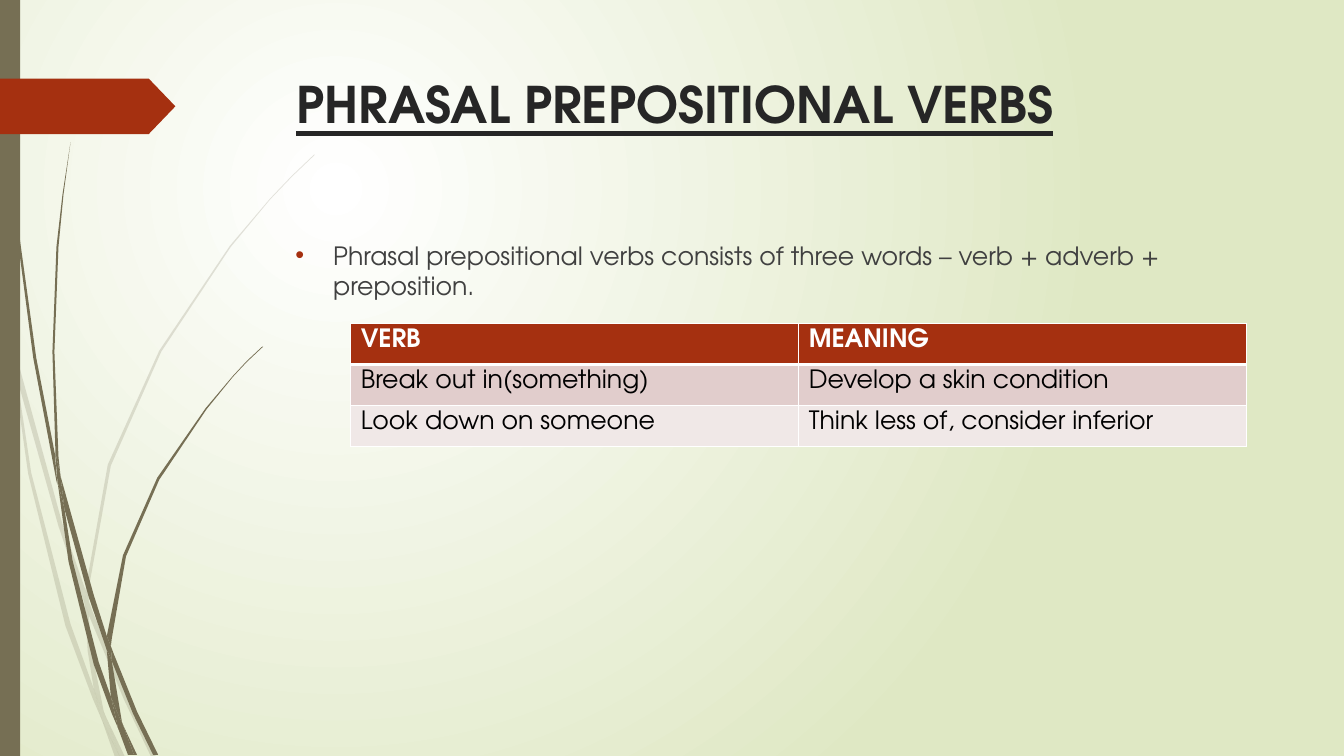
import pptx
import pptx.dml.color
import pptx.enum.shapes
import pptx.enum.text
import pptx.oxml
import pptx.oxml.ns
import pptx.util

CELL = 0.1  # inches per grid cell
COLUMNS, ROWS = 133.33, 75
FONT = "TeX Gyre Adventor"
COLORS = {
    "white": "FFFFFF", "lime": "DFE8C4", "olive": "766F54", "rust": "A53010",
    "heading": "262626", "body": "404040", "black": "000000",
    "row dark": "E1CDCC", "row light": "F0E8E7",
}
SHAPES = pptx.enum.shapes.MSO_SHAPE

# Outlines of the grass pieces, in grid cells.
PALE_GRASS = [
    [(1.1, 35), (0.9, 32.2), (0, 28.2), (0, 29.9), (1, 34.4)],
    [(5.8, 52.2), (8.4, 59.9), (8.5, 58.6), (6.2, 52), (1.4, 34.5), (1.7, 37.6)],
    [(9.2, 60.7), (8.8, 59.6), (8.8, 61), (12.3, 69.4), (15, 75.1), (15.5, 75.1),
     (12.7, 69.2)],
    [(11.9, 75.1), (12.4, 75.1), (10.5, 71.1)],
    [(9.3, 68.3), (7, 61.9), (3.1, 46.9), (1.7, 37.6), (1.1, 35), (2.8, 47),
     (6.5, 62.1), (9.2, 69.3), (10.1, 71.4), (9.9, 70.7)],
    [(8.4, 59.9), (8.7, 64.6), (9.3, 68.3), (9.6, 69.2), (10.5, 71.1), (10.3, 70.6),
     (9.1, 64.6), (8.8, 61), (8.8, 60.8)],
    [(8.8, 58.4), (11, 46.2), (16, 34.9), (22.9, 24.5), (26.8, 19.8), (29, 17.5),
     (31.2, 15.4), (31.2, 15.3), (28.9, 17.5), (26.8, 19.7), (22.8, 24.4),
     (15.8, 34.8), (10.7, 46.1), (8.5, 58.4), (8.5, 58.6), (8.8, 59.6)],
    [(10.1, 71.4), (11.4, 75.1), (11.9, 75.1)],
    [(8.8, 60.8), (8.8, 61), (8.8, 59.6), (8.5, 58.6), (8.4, 59.9)],
    [(9.6, 69.2), (9.3, 68.3), (9.9, 70.7), (10.1, 71.4), (11.9, 75.1), (10.5, 71.1)],
]
DARK_GRASS = [
    [(0.7, 11), (1.7, 23.3), (3.3, 35.5), (5.6, 47.7), (5.7, 48.1), (5.5, 45.7),
     (5.5, 45.3), (3.6, 35.5), (1.9, 23.2), (0.8, 10.9), (0.5, 4.8), (0.4, 0),
     (0.3, 0), (0.4, 4.8)],
    [(8.8, 59.2), (10.6, 64.5), (10.6, 63.3), (10.6, 63.1), (9.3, 59), (6, 47.2),
     (6.4, 50.5)],
    [(11.3, 64.9), (11, 64.1), (11.1, 65.6), (13.2, 70.8), (15.2, 74.9),
     (15.7, 74.9), (13.6, 70.6)],
    [(11, 69.1), (9.8, 65.7), (7.2, 55.6), (6.4, 50.5), (5.7, 47.7), (6.8, 55.7),
     (9.3, 65.9), (11.1, 70.8), (11.7, 72.2), (11.6, 71.7)],
    [(6, 47.2), (5.8, 45.3), (5.4, 34.9), (5.8, 24.5), (6.3, 19.3), (7, 14.1),
     (6.2, 19.3), (5.6, 24.5), (5.2, 34.9), (5.5, 44.9)],
    [(13.3, 74.9), (13.6, 74.9), (12.2, 71.9)],
    [(5.7, 47.7), (6.4, 50.5), (6, 47.2), (5.5, 44.9), (5.5, 45.3)],
    [(11.1, 63.3), (12.5, 55.2), (15.8, 47.6), (20.5, 40.6), (23.1, 37.4),
     (24.5, 35.9), (26.1, 34.4), (26, 34.4), (24.5, 35.8), (23.1, 37.3),
     (20.4, 40.5), (15.6, 47.4), (12.2, 55.1), (10.6, 63.1), (11, 64.1)],
    [(11.7, 72.2), (12.7, 74.9), (13.1, 74.9)],
    [(10.6, 64.5), (11, 69.1), (11.6, 70.6), (12.2, 71.9), (12.1, 71.6),
     (11.1, 65.6), (10.9, 65.1)],
    [(10.6, 64.5), (10.9, 65.1), (11.1, 65.6), (11, 64.1), (10.6, 63.1), (10.6, 63.3)],
    [(11.6, 70.6), (11, 69.1), (11.6, 71.7), (11.7, 72.2), (13, 74.9), (13.3, 74.9),
     (12.2, 71.9)],
]
VERB_ROWS = [
    ("VERB", "MEANING"),
    ("Break out in(something)", "Develop a skin condition"),
    ("Look down on someone", "Think less of, consider inferior"),
]


def cells(count):
    return pptx.util.Inches(count * CELL)


def color(name):
    return pptx.dml.color.RGBColor.from_string(COLORS[name])


def element(xml):
    """Parse one drawing element, adding the namespace to its tag."""
    tag, rest = xml[1:].split(" ", 1)
    return pptx.oxml.parse_xml(f"<{tag} {pptx.oxml.ns.nsdecls('a')} {rest}")


class VerbSlide:
    def __init__(self, deck):
        self.slide = deck.slides.add_slide(deck.slide_layouts[1])
        self.shapes = self.slide.shapes

    def background(self, center, edge):
        fill = self.slide.background.fill
        fill.gradient()
        for stop, name, position in zip(fill.gradient_stops, (center, edge), (0, 1)):
            stop.color.rgb = color(name)
            stop.position = position
        linear = self.slide.element.xpath(".//a:gradFill/a:lin")[0]
        linear.getparent().replace(linear, element(
            '<a:path path="circle"><a:fillToRect l="50000" t="50000" '
            'r="100000" b="100000"/></a:path>'))

    def paint(self, shape, name, alpha=None):
        shape.shadow.inherit = False
        shape.fill.solid()
        shape.fill.fore_color.rgb = color(name)
        shape.line.fill.background()
        if alpha:
            shape.element.spPr.xpath("./a:solidFill/a:srgbClr")[0].append(
                element(f'<a:alpha val="{alpha * 1000}"/>'))

    def grass(self, pieces, alpha=None):
        for piece in pieces:
            outline = [(cells(x), cells(y)) for x, y in piece]
            builder = self.shapes.build_freeform(*outline[0])
            builder.add_line_segments(outline[1:], close=True)
            self.paint(builder.convert_to_shape(), "olive", alpha)

    def block(self, kind, box, name):
        shape = self.shapes.add_shape(kind, *map(cells, box))
        self.paint(shape, name)
        return shape

    def style(self, paragraph, size, name, bold=False, underline=False):
        font = paragraph.font
        font.name, font.size = FONT, pptx.util.Pt(size)
        font.bold, font.underline = bold, underline
        font.color.rgb = color(name)

    def fill_placeholder(self, index, box, text):
        holder = self.slide.placeholders[index]
        holder.left, holder.top, holder.width, holder.height = map(cells, box)
        frame = holder.text_frame
        frame.text = text
        frame.auto_size = pptx.enum.text.MSO_AUTO_SIZE.NONE
        frame.vertical_anchor = pptx.enum.text.MSO_ANCHOR.TOP
        paragraph = frame.paragraphs[0]
        paragraph.alignment = pptx.enum.text.PP_ALIGN.LEFT
        paragraph.space_before = pptx.util.Pt(0)
        return paragraph

    def title(self, box, text):
        self.style(self.fill_placeholder(0, box, text), 36, "heading", True, True)

    def bullet(self, box, text):
        paragraph = self.fill_placeholder(1, box, text)
        properties = paragraph._p.get_or_add_pPr()
        properties.set("marL", str(cells(3.75)))
        properties.set("indent", str(-cells(3.75)))
        properties.append(element(
            f'<a:buClr ><a:srgbClr val="{COLORS["rust"]}"/></a:buClr>'))
        properties.append(element('<a:buFont typeface="Arial"/>'))
        properties.append(element('<a:buChar char="•"/>'))
        self.style(paragraph, 18, "body")

    def table(self, box, rows):
        grid = self.shapes.add_table(len(rows), len(rows[0]), *map(cells, box)).table
        for r, texts in enumerate(rows):
            for c, text in enumerate(texts):
                cell = grid.cell(r, c)
                cell.text = text
                cell.margin_bottom = 0
                self.borders(cell, top=3 if r == 1 else 1, bottom=3 if r == 0 else 1)
                cell.fill.solid()
                cell.fill.fore_color.rgb = color(("rust", "row dark", "row light")[r])
                self.style(cell.text_frame.paragraphs[0], 18,
                           "black" if r else "white", bold=r == 0)

    def borders(self, cell, top, bottom):
        properties = cell._tc.get_or_add_tcPr()
        for side, points in zip("LRTB", (1, 1, top, bottom)):
            properties.append(element(
                f'<a:ln{side} w="{pptx.util.Pt(points)}"><a:solidFill>'
                f'<a:srgbClr val="{COLORS["white"]}"/></a:solidFill></a:ln{side}>'))


def main():
    deck = pptx.Presentation()
    deck.slide_width, deck.slide_height = cells(COLUMNS), cells(ROWS)
    page = VerbSlide(deck)
    page.background("white", "lime")
    page.grass(PALE_GRASS, alpha=20)
    page.grass(DARK_GRASS)
    page.block(SHAPES.RECTANGLE, (0, 0, 2, ROWS), "olive")
    arrow = page.block(SHAPES.PENTAGON, (0, 7.8, 17.4, 5.5), "rust")
    arrow.adjustments[0] = 0.48
    page.title((28.4, 6.8, 97.5, 14), "PHRASAL PREPOSITIONAL VERBS")
    page.bullet((28.3, 23.3, 97.5, 41.3),
                "Phrasal prepositional verbs consists of three words – "
                "verb + adverb + preposition.")
    page.table((34.8, 32.1, 88.9, 12.2), VERB_ROWS)
    deck.save("out.pptx")


if __name__ == "__main__":
    main()
